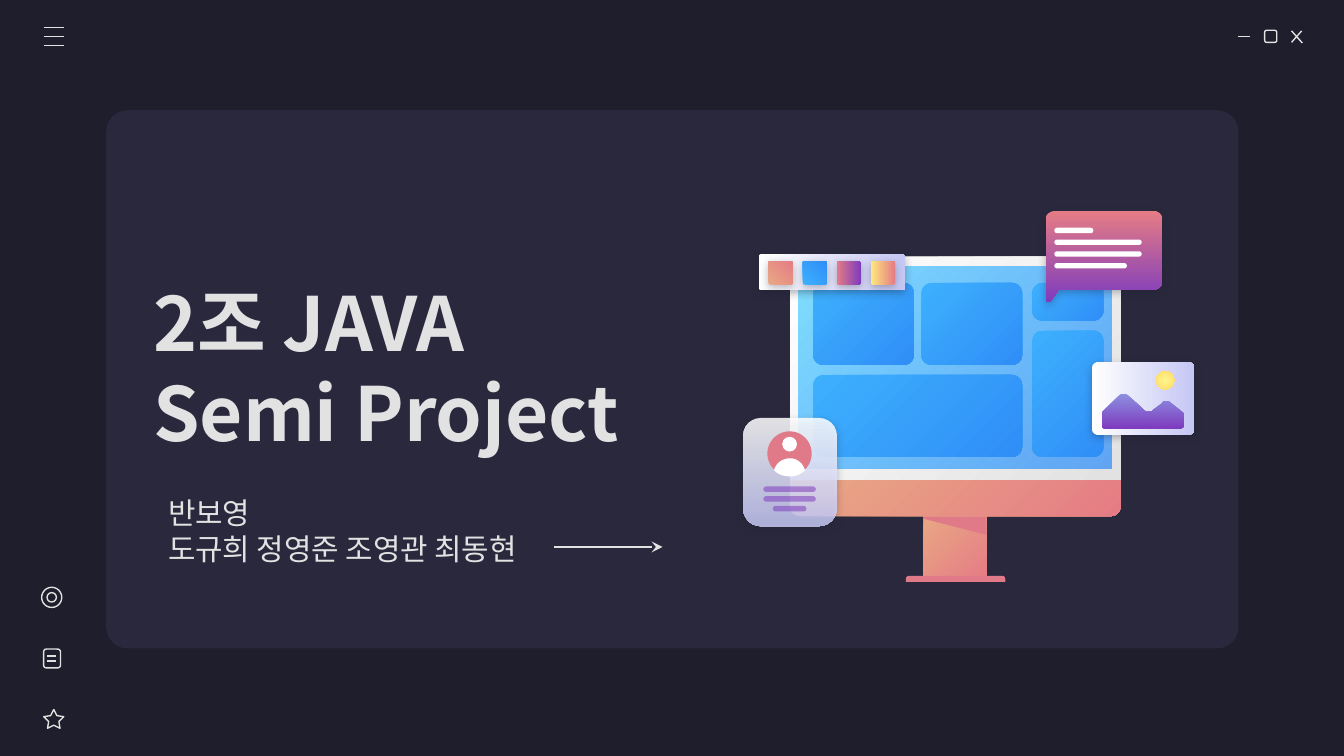
from lxml import etree
from pptx import Presentation
from pptx.dml.color import RGBColor
from pptx.enum.shapes import MSO_CONNECTOR, MSO_SHAPE
from pptx.enum.text import MSO_ANCHOR, MSO_AUTO_SIZE, PP_ALIGN
from pptx.oxml.ns import qn
from pptx.util import Inches, Pt

STRAIGHT = MSO_CONNECTOR.STRAIGHT
ROUND, ROUND_ENDS = MSO_SHAPE.ROUNDED_RECTANGLE, MSO_SHAPE.ROUND_2_SAME_RECTANGLE
RECT, OVAL, STAR = MSO_SHAPE.RECTANGLE, MSO_SHAPE.OVAL, MSO_SHAPE.STAR_5_POINT
LEFT, MIDDLE, NO_FIT = PP_ALIGN.LEFT, MSO_ANCHOR.MIDDLE, MSO_AUTO_SIZE.NONE

FONT = "Noto Sans CJK KR"
COLUMNS, ROWS = 1000, 562.5
CELL = Inches(0.01)
COLORS = {
    "night": "1E1E2C", "panel": "29283D", "light": "E2E2E2", "white": "FFFFFF",
    "rose": "E07A88", "coral": "E57C85", "peach": "E9A984", "violet": "7E3BBE",
    "lilac": "C5C7F4", "iris": "8D90E1", "cyan": "80DFFF", "azure": "318FFA",
    "sky": "3DB0FD", "blue": "308EF7", "lemon": "FFF68E", "gold": "FFD966",
    "yellow": "FFEA7D",
}
WARM = ("peach", "coral", 45)
WATER = ("sky", "blue", 45)
DUSK = ("coral", "violet", 90)
PAPER = ("white", "lilac", 90)


def cells(*counts):
    return [round(count * CELL) for count in counts]


def color(name):
    return RGBColor.from_string(COLORS[name])


def add_child(parent, tag, **attributes):
    child = etree.SubElement(parent, qn(tag))
    for key, value in attributes.items():
        child.set(key, str(value))
    return child


def paint(shape, fill=None, line=None, opacity=(), shadow=False):
    shape.shadow.inherit = False
    properties = shape._element.spPr
    if fill is None:
        shape.fill.background()
    elif isinstance(fill, str):
        shape.fill.solid()
        shape.fill.fore_color.rgb = color(fill)
    else:
        shape.fill.gradient()
        shape.fill.gradient_angle = 360 - fill[2]
        for stop, name in zip(shape.fill.gradient_stops, fill):
            stop.color.rgb = color(name)
    tints = list(properties.iter(qn("a:srgbClr")))
    for tint, percent in zip(tints, opacity):
        add_child(tint, "a:alpha", val=percent * 1000)
    if line:
        shape.line.color.rgb = color(line)
        shape.line.width = Pt(0.75)
    else:
        shape.line.fill.background()
    if shadow:
        effects = properties.find(qn("a:effectLst"))
        outer = add_child(effects, "a:outerShdw", blurRad=Pt(4.5), dist=Pt(1.5),
                          dir=5400000, algn="bl", rotWithShape=0)
        tint = add_child(outer, "a:srgbClr", val=COLORS["night"])
        add_child(tint, "a:alpha", val=30000)
    return shape


def add_form(page, kind, left, top, width, height, radius=None, turn=0, **style):
    shape = page.shapes.add_shape(kind, *cells(left, top, width, height))
    if radius is not None:
        share = radius / min(width, height)
        if kind == ROUND_ENDS:
            shape.adjustments[0] = max(share, 0)
            shape.adjustments[1] = max(-share, 0)
        else:
            shape.adjustments[0] = share
    shape.rotation = turn
    return paint(shape, **style)


def add_line(page, x1, y1, x2, y2, arrow=None):
    line = page.shapes.add_connector(STRAIGHT, *cells(x1, y1, x2, y2))
    line.line.color.rgb = color("light")
    line.line.width = Pt(0.75)
    if arrow:
        add_child(line.line._get_or_add_ln(), "a:tailEnd", type=arrow)
    add_child(line._element.spPr, "a:effectLst")


def curve(start, bend, steps=8):
    x1, y1, x2, y2, x3, y3 = bend
    for step in range(1, steps + 1):
        t = step / steps
        weights = ((1 - t) ** 3, 3 * t * (1 - t) ** 2, 3 * t * t * (1 - t), t ** 3)
        yield tuple(sum(w * v for w, v in zip(weights, values))
                    for values in ((start[0], x1, x2, x3), (start[1], y1, y2, y3)))


def add_outline(page, path, **style):
    points = [path[0]]
    for piece in path[1:]:
        points.extend([piece] if len(piece) == 2 else curve(points[-1], piece))
    corners = [tuple(cells(*point)) for point in points]
    builder = page.shapes.build_freeform(*corners[0], scale=1.0)
    builder.add_line_segments(corners[1:], close=True)
    return paint(builder.convert_to_shape(), **style)


def write(box, lines, area, size, bold=False):
    box.left, box.top, box.width, box.height = cells(*area)
    frame = box.text_frame
    frame.word_wrap, frame.auto_size, frame.vertical_anchor = True, NO_FIT, MIDDLE
    frame.margin_left = frame.margin_right = frame.margin_top = frame.margin_bottom = Inches(0.1)
    frame.text = lines
    for para in frame.paragraphs:
        para.alignment, para.line_spacing = LEFT, 1.0
        para.space_before = para.space_after = Pt(0)
        for span in para.runs:
            span.font.name, span.font.size, span.font.bold = FONT, Pt(size), bold
            span.font.color.rgb = color("light")
            add_child(span.font._element, "a:ea", typeface=FONT)


def add_window_icons(page):
    for row in (20.5, 27.25, 34):
        add_line(page, 32.5, row, 47.5, row)
    add_line(page, 921, 27, 930, 27)
    add_form(page, ROUND, 941, 22.5, 9, 9, 1.5, line="light")
    add_line(page, 961, 23, 969, 32)
    add_line(page, 968.5, 23, 961, 31.5)


def add_side_icons(page):
    add_form(page, OVAL, 31, 437, 15, 15, line="light")
    add_form(page, OVAL, 35, 441, 7, 7, line="light")
    add_form(page, ROUND, 32.5, 483, 12.5, 14, 2, line="light")
    for row in (488, 492):
        add_line(page, 35, row, 42, row)
    star = add_form(page, STAR, 32.5, 528, 15, 14, line="light")
    star.adjustments[0] = 0.254


def add_monitor(page):
    add_form(page, RECT, 687, 381, 47, 51, fill=WARM)
    add_form(page, ROUND_ENDS, 674, 428.5, 74, 4.5, 3, fill="rose")
    add_outline(page, [(687, 382), (687, 386), (734, 398), (734, 382)], fill="rose")
    add_form(page, ROUND_ENDS, 588, 356, 246, 28, -7, fill=WARM)
    add_form(page, ROUND_ENDS, 588, 191, 246, 166, 7, fill=("white", "light", 45))
    add_form(page, RECT, 594, 198, 233, 151, fill=("cyan", "azure", 45), opacity=(100, 72))
    for tile in ((605, 210.5, 75, 61), (605, 279, 155.5, 61), (685.5, 210.5, 75, 61),
                 (768, 210.5, 53, 28), (768, 246, 53, 94)):
        add_form(page, ROUND, *tile, 7.5, fill=WATER)


def add_bubble(page):
    add_outline(page, [
        (785, 157), (781, 157, 778, 160, 778, 164), (778, 224),
        (778, 225, 779, 225, 780, 225), (781, 225), (788, 215.5), (859, 215.5),
        (862, 215.5, 865, 212, 865, 209), (865, 164), (865, 160, 862, 157, 859, 157),
    ], fill=DUSK, shadow=True)
    for number, width in enumerate((29, 65, 65, 54)):
        add_form(page, ROUND, 784.5, 169.5 + number * 8.75, width, 4, 2, fill="white")


def add_profile(page):
    add_form(page, ROUND, 553, 311, 69.5, 80.5, 13, fill=PAPER, opacity=(86, 86), shadow=True)
    add_form(page, OVAL, 571, 321, 33, 33, fill="rose")
    add_form(page, OVAL, 582, 325, 11, 11, fill="white")
    add_outline(page, [
        (588, 341), (582, 341, 577, 345, 576, 350), (579, 353, 583, 354.5, 588, 354.5),
        (592, 354.5, 596, 353, 599, 350), (598, 345, 593, 341, 588, 341),
    ], fill="white")
    for number, width in enumerate((39, 39, 25)):
        add_form(page, ROUND, 587.5 - width / 2, 362 + number * 7.25, width, 4, 2,
                 fill="violet", opacity=(54,))


def add_photo(page):
    add_form(page, ROUND, 823.5, 258.5, 54, 76, 4, turn=270, fill=PAPER, shadow=True)
    add_outline(page, [
        (836, 293), (835, 293, 834, 293, 833, 294), (821, 306), (820, 307, 820, 307, 820, 308),
        (820, 316), (820, 318, 821, 319, 823, 319), (877, 319), (879, 319, 881, 318, 881, 316),
        (881, 309), (881, 308, 880, 307, 880, 307), (870, 299), (869, 299, 868, 298.5, 867, 298.5),
        (866, 298.5, 865, 299, 865, 300), (857, 306), (856, 306, 855, 306.5, 854, 306.5),
        (853, 306.5, 852, 306, 851, 305), (839, 294), (838, 293, 837, 293, 836, 293),
    ], fill=("iris", "violet", 90))
    sun = add_form(page, OVAL, 860, 276, 14, 14, fill=("lemon", "gold", 0))
    gradient = sun._element.spPr.find(qn("a:gradFill"))
    gradient.remove(gradient.find(qn("a:lin")))
    glow = add_child(gradient, "a:path", path="circle")
    add_child(glow, "a:fillToRect", l=50000, t=50000, r=50000, b=50000)


def add_palette(page):
    add_form(page, ROUND, 605.5, 148, 27, 109, 2, turn=270, fill=PAPER, shadow=True)
    for number, fill in enumerate((WARM, WATER, DUSK, ("yellow", "coral", 90))):
        add_form(page, ROUND, 572 + number * 25.4, 194, 17.5, 18, 1.25, turn=270,
                 fill=fill, shadow=True)


def main():
    deck = Presentation()
    deck.slide_width, deck.slide_height = cells(COLUMNS, ROWS)
    page = deck.slides.add_slide(deck.slide_layouts[0])
    page.background.fill.solid()
    page.background.fill.fore_color.rgb = color("night")
    panel = add_form(page, ROUND, 79, 82, 842.5, 400.5, 16, fill="panel")
    page.shapes._spTree.insert(2, panel._element)
    write(page.shapes.title, "2조 JAVA \vSemi Project", (104, 185, 447, 176), 40, bold=True)
    write(page.placeholders[1], "반보영\n도규희 정영준 조영관 최동현", (115, 364, 427, 62), 16)
    add_window_icons(page)
    add_monitor(page)
    add_bubble(page)
    add_profile(page)
    add_photo(page)
    add_palette(page)
    add_side_icons(page)
    add_line(page, 412, 407, 493, 407, arrow="stealth")
    deck.save("out.pptx")


if __name__ == "__main__":
    main()
